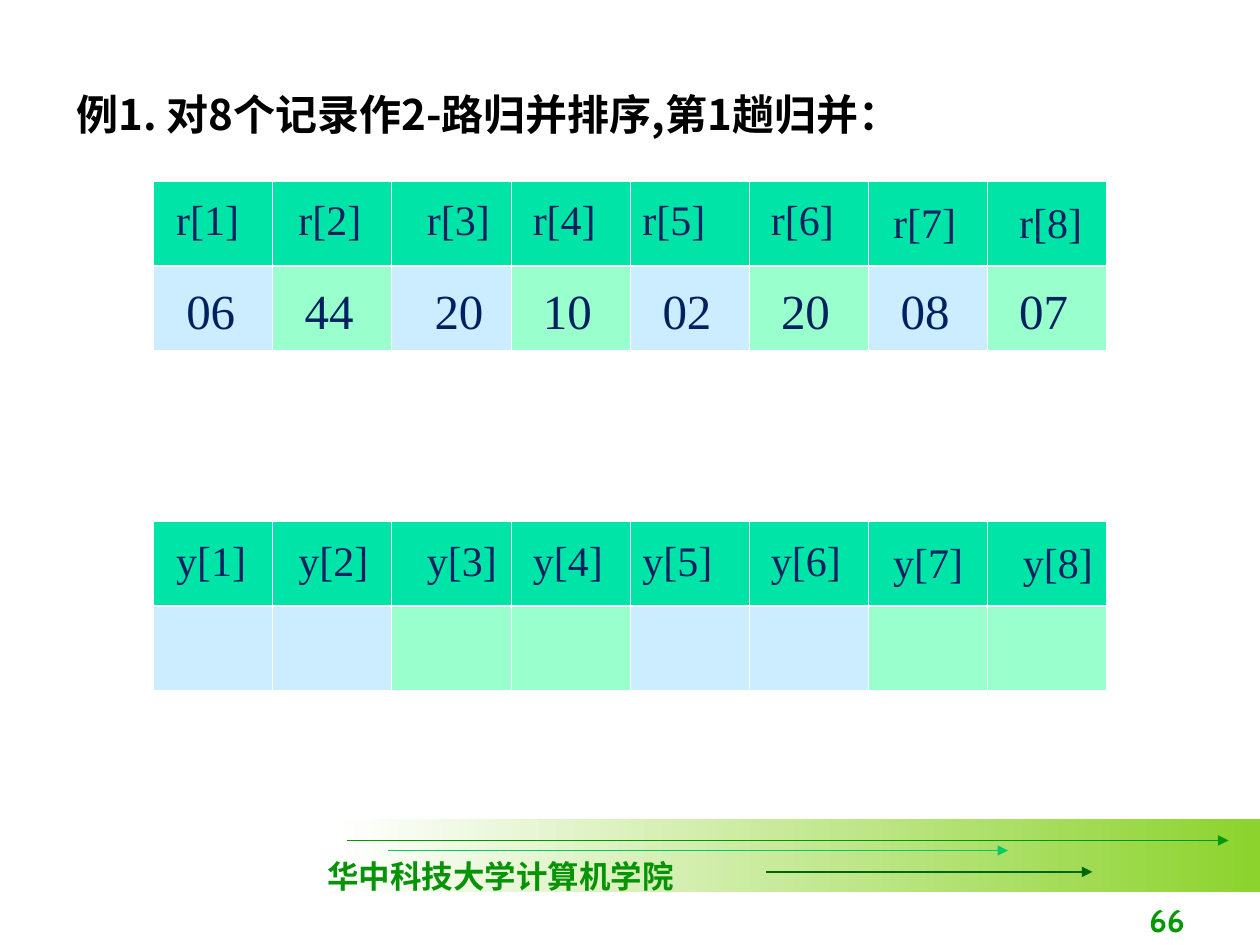
from lxml import etree
from pptx import Presentation
from pptx.dml.color import RGBColor
from pptx.enum.dml import MSO_THEME_COLOR
from pptx.enum.shapes import MSO_CONNECTOR, MSO_SHAPE
from pptx.enum.text import MSO_ANCHOR, MSO_AUTO_SIZE, PP_ALIGN
from pptx.oxml.ns import qn
from pptx.util import Inches, Pt

STRAIGHT = MSO_CONNECTOR.STRAIGHT
RECT = MSO_SHAPE.RECTANGLE
TOP, BOTTOM = MSO_ANCHOR.TOP, MSO_ANCHOR.BOTTOM
LEFT, RIGHT = PP_ALIGN.LEFT, PP_ALIGN.RIGHT
GROW, FIXED = MSO_AUTO_SIZE.SHAPE_TO_FIT_TEXT, MSO_AUTO_SIZE.NONE

WHITE = RGBColor(0xFF, 0xFF, 0xFF)
BLACK = RGBColor(0x00, 0x00, 0x00)
NAVY = RGBColor(0x00, 0x20, 0x60)
HEAD = RGBColor(0x00, 0xE4, 0xA8)
BLUE = RGBColor(0xCC, 0xEC, 0xFF)
MINT = RGBColor(0x99, 0xFF, 0xCC)
LIME = RGBColor(0x8C, 0xD3, 0x2D)
GREEN = RGBColor(0x00, 0x99, 0x00)
JADE = RGBColor(0x00, 0xCC, 0x66)
DARK = RGBColor(0x00, 0x66, 0x00)
SCHOOL = RGBColor(0x06, 0x94, 0x06)

SERIF, SANS, ROUND = "Times New Roman", "Noto Sans CJK SC", "Cabin"
THIN, THICK = 0.45, 1.47
COUNT = 8
NAME_X = [1.3, 2.27, 3.29, 4.13, 5, 6.02, 6.99, 7.99]
VALUE_X = [1.38, 2.32, 3.35, 4.21, 5.16, 6.1, 7.05, 7.99]
VALUES = ["06", "44", "20", "10", "02", "20", "08", "07"]


def inches(box):
    return [Inches(n) for n in box]


def write(shape, text, size, color, font=SERIF, bold=False, align=LEFT,
          anchor=TOP, wrap=True, fit=GROW):
    frame = shape.text_frame
    frame.word_wrap = wrap
    frame.auto_size = fit
    frame.vertical_anchor = anchor
    para = frame.paragraphs[0]
    para.alignment = align
    run = para.add_run()
    run.text = text
    run.font.name = font
    run.font.size = Pt(size)
    run.font.bold = bold
    run.font.color.rgb = color
    east = etree.SubElement(run.font._element, qn("a:ea"))
    east.set("typeface", SANS)
    return para


def label(slide, box, text, size, color, **style):
    write(slide.shapes.add_textbox(*inches(box)), text, size, color, **style)


def arrow(slide, start, end, y, color):
    line = slide.shapes.add_connector(STRAIGHT, *inches((start, y, end, y)))
    line.line.color.rgb = color
    line.line.width = Pt(0.75)
    tail = etree.SubElement(line.line._get_or_add_ln(), qn("a:tailEnd"))
    tail.set("type", "triangle")
    etree.SubElement(line._element.spPr, qn("a:effectLst"))


def footer(slide, box):
    """Gradient band with three arrows, the school and the page number."""
    left, top, _, _ = box
    band = slide.shapes.add_shape(RECT, *inches(box))
    band.shadow.inherit = False
    band.line.fill.background()
    band.fill.gradient()
    band.fill.gradient_angle = 0
    for stop, color, place in zip(band.fill.gradient_stops, (WHITE, LIME), (0, 1)):
        stop.color.rgb = color
        stop.position = place
    arrow(slide, left + 0.08, 9.75, top + 0.17, GREEN)
    arrow(slide, left + 0.41, 8, top + 0.25, JADE)
    arrow(slide, left + 3.41, 8.67, top + 0.42, DARK)
    label(slide, (left - 0.17, top + 0.25, 2.95, 0.4), "华中科技大学计算机学院",
          18, SCHOOL, bold=True, wrap=False)
    label(slide, (7.42, top + 0.5, 2.08, 0.5), "66", 18, GREEN, font=ROUND,
          bold=True, align=RIGHT, anchor=BOTTOM, fit=FIXED)


def border(cell, top, bottom):
    props = cell._tc.get_or_add_tcPr()
    for side, width in (("L", THIN), ("R", THIN), ("T", top), ("B", bottom)):
        line = etree.SubElement(props, qn("a:ln" + side), w=str(int(Pt(width))))
        fill = etree.SubElement(line, qn("a:solidFill"))
        etree.SubElement(fill, qn("a:srgbClr"), val=str(WHITE))


def paint(cell, color):
    cell.fill.solid()
    cell.fill.fore_color.rgb = color


def array(slide, box, letter, group, last, values=()):
    """Draw a two-row table; cells change colour after each group."""
    _, top, width, _ = box
    table = slide.shapes.add_table(2, COUNT, *inches(box)).table
    for i in range(COUNT):
        table.columns[i].width = Inches(width / COUNT)
        name, value = table.cell(0, i), table.cell(1, i)
        border(name, THIN, THICK)
        border(value, THICK, THIN)
        paint(name, HEAD)
        paint(value, MINT if i // group % 2 else BLUE)

    for i, x in enumerate(NAME_X[:-1] + [last]):
        drop = 0.07 if i >= 6 else 0.05
        label(slide, (x, top + drop, 0.92, 0.5), f"{letter}[{i + 1}]", 24, NAVY)
    for x, value in zip(VALUE_X, values):
        label(slide, (x, top + 0.74, 0.79, 0.57), value, 28, NAVY)


def heading(slide, box):
    title = slide.shapes.title
    title.left, title.top, title.width, title.height = inches(box)
    para = write(title, "例1. 对8个记录作2-路归并排序,第1趟归并：", 24, BLACK,
                 font=SANS, bold=True)
    para.line_spacing = 1.1


def main():
    deck = Presentation()
    deck.slide_width, deck.slide_height = Inches(10), Inches(7.5)
    slide = deck.slides.add_slide(deck.slide_layouts[5])
    slide.background.fill.solid()
    slide.background.fill.fore_color.theme_color = MSO_THEME_COLOR.BACKGROUND_1
    heading(slide, (0.51, 0.61, 8.9, 0.54))
    footer(slide, (2.67, 6.5, 7.33, 0.58))
    array(slide, (1.22, 1.44, 7.56, 1.34), "r", 1, NAME_X[-1], VALUES)
    array(slide, (1.22, 4.14, 7.56, 1.34), "y", 2, 8.02)
    deck.save("out.pptx")


if __name__ == "__main__":
    main()
